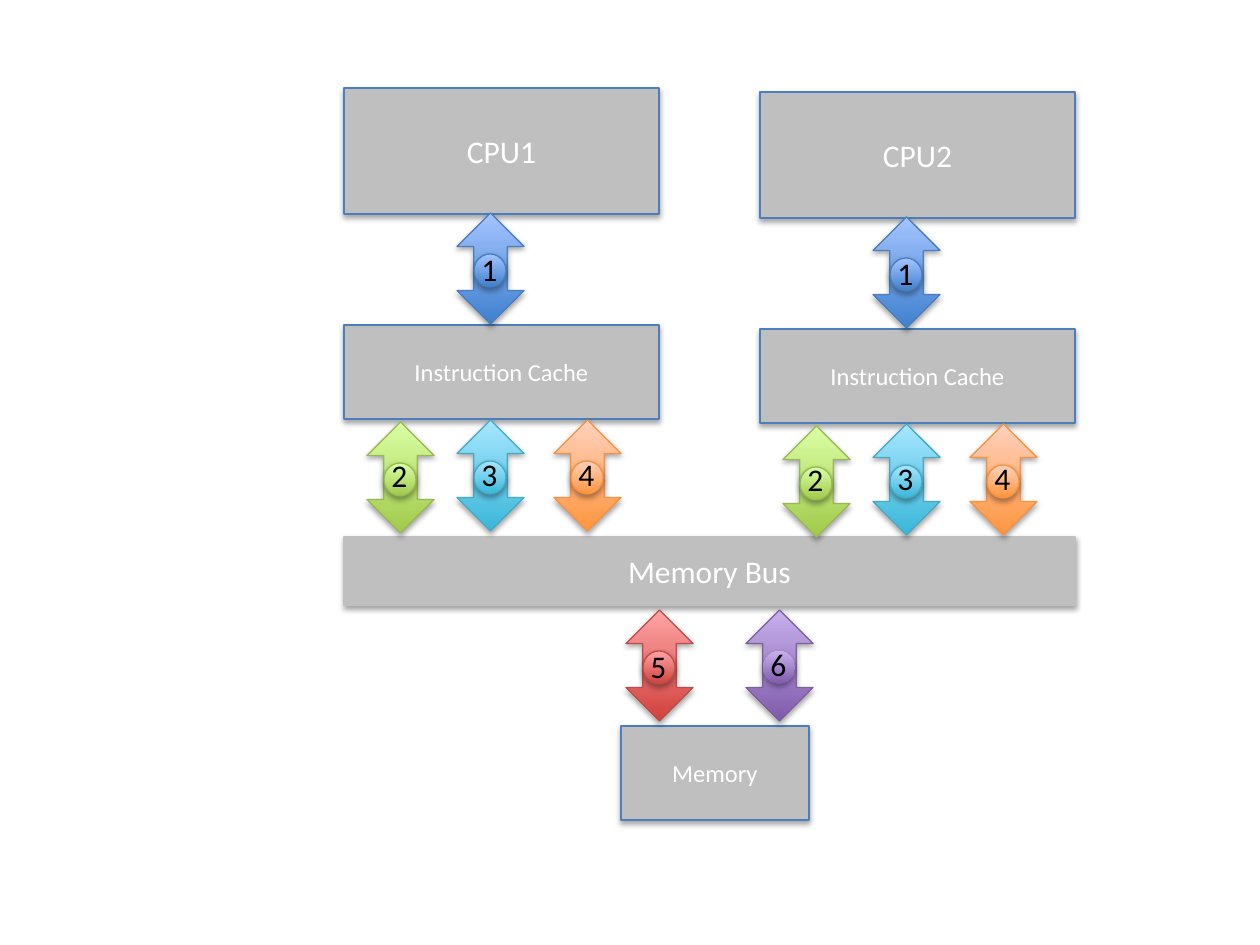
from lxml import etree
from pptx import Presentation
from pptx import util as u
from pptx.dml.color import RGBColor
from pptx.enum import shapes, text
from pptx.oxml.ns import qn

PX = u.Inches(1) / 126
WHITE = RGBColor(0xFF, 0xFF, 0xFF)
BLACK = RGBColor(0, 0, 0)
GREY = RGBColor(0xBF, 0xBF, 0xBF)
BLUE = RGBColor(0x4B, 0x7E, 0xBC)
BLUES = RGBColor(0x3F, 0x80, 0xCE), RGBColor(0xA4, 0xC4, 0xFF), BLUE
GREENS = RGBColor(0xA0, 0xCA, 0x4A), RGBColor(0xDA, 0xFF, 0xA5), RGBColor(0x98, 0xB9, 0x55)
AQUAS = RGBColor(0x39, 0xB7, 0xD8), RGBColor(0xA7, 0xE6, 0xFF), RGBColor(0x46, 0xAA, 0xC5)
ORANGES = RGBColor(0xFF, 0x95, 0x3E), RGBColor(0xFF, 0xD2, 0xBD), RGBColor(0xF6, 0x92, 0x40)
REDS = RGBColor(0xD1, 0x40, 0x3C), RGBColor(0xFF, 0xA6, 0xA5), RGBColor(0xBF, 0x4C, 0x48)
PURPLES = RGBColor(0x7F, 0x5B, 0xAB), RGBColor(0xC8, 0xB0, 0xED), RGBColor(0x7D, 0x60, 0xA0)

prs = Presentation()
prs.slide_width, prs.slide_height = u.Inches(10), u.Inches(7.5)
slide = prs.slides.add_slide(prs.slide_layouts[6])


def add_shadowed(parent, kind, box, line):
    sp = parent.shapes.add_shape(kind, *(round(v * PX) for v in box))
    sp.shadow.inherit = False
    effects = sp._element.spPr.find(qn("a:effectLst"))
    shadow = etree.SubElement(effects, qn("a:outerShdw"), blurRad="40000", dist="23000",
                              dir="5400000", rotWithShape="0")
    color = etree.SubElement(shadow, qn("a:srgbClr"), val="000000")
    etree.SubElement(color, qn("a:alpha"), val="35000")
    if line is None:
        sp.line.fill.background()
    else:
        sp.line.color.rgb = line
        sp.line.width = u.Pt(0.75)
    return sp


def write(sp, label, size, color, align):
    p = sp.text_frame.paragraphs[0]
    p.text = label
    p.alignment = align
    p.font.name = "Calibri"
    p.font.size = u.Pt(size)
    p.font.color.rgb = color


blocks = [("Memory Bus", 18, (344, 537, 731, 68), GREY),
          ("Memory", 14, (621, 726, 188, 94), BLUE)]
arrows = [("5", 626, 610, 31, REDS), ("6", 746, 610, 29, PURPLES)]
for cpu, dx, dy in (("CPU1", 0, 0), ("CPU2", 416, 4)):
    blocks += [(cpu, 18, (344 + dx, 88 + dy, 315, 126), BLUE),
               ("Instruction Cache", 14, (344 + dx, 325 + dy, 315, 94), BLUE)]
    arrows += [(label, x + dx, y + dy, drop, colors) for label, x, y, drop, colors in (
        ("1", 457, 213, 31, BLUES), ("2", 367, 422, 28, GREENS),
        ("3", 457, 420, 29, AQUAS), ("4", 554, 420, 29, ORANGES))]

for label, size, box, line in blocks:
    sp = add_shadowed(slide, shapes.MSO_SHAPE.RECTANGLE, box, line)
    sp.fill.solid()
    sp.fill.fore_color.rgb = GREY
    sp.text_frame.vertical_anchor = text.MSO_ANCHOR.MIDDLE
    write(sp, label, size, WHITE, text.PP_ALIGN.CENTER)

for label, x, y, drop, (dark, light, line) in arrows:
    group = slide.shapes.add_group_shape()
    for kind, box, edge in (
            (shapes.MSO_SHAPE.UP_DOWN_ARROW, (x, y, 67, 111), line),
            (shapes.MSO_SHAPE.OVAL, (x + 17, y + 41, 32, 33), None if label == "6" else line)):
        sp = add_shadowed(group, kind, box, edge)
        sp.fill.gradient()
        sp.fill.gradient_angle = 90
        for stop, color in zip(sp.fill.gradient_stops, (dark, light)):
            stop.color.rgb = color
    tb = group.shapes.add_textbox(*(round(v * PX) for v in (x + 12, y + drop, 42, 51)))
    tb.text_frame.word_wrap = False
    tb.text_frame.auto_size = text.MSO_AUTO_SIZE.SHAPE_TO_FIT_TEXT
    write(tb, label, 18, BLACK, text.PP_ALIGN.LEFT)

prs.save("out.pptx")
